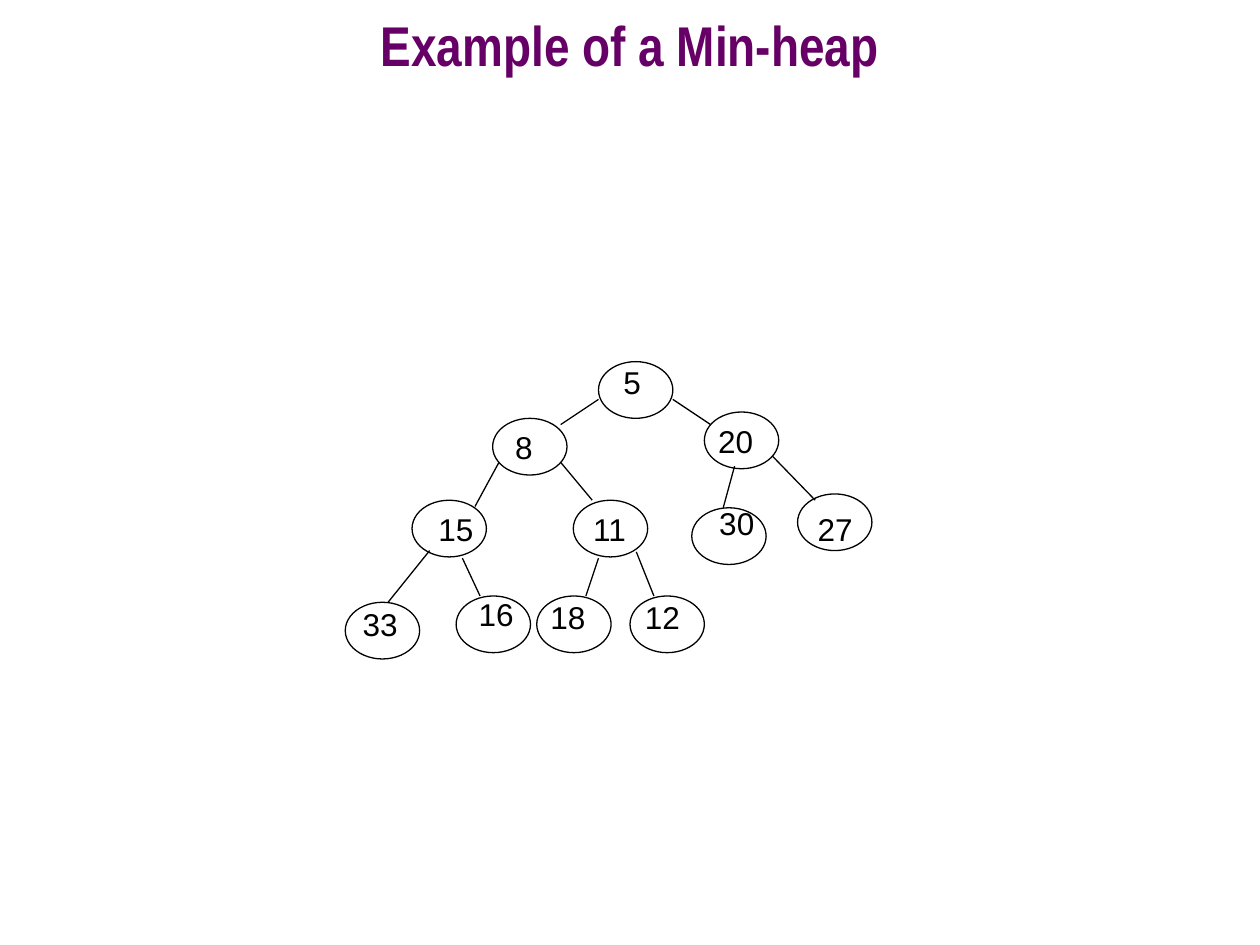
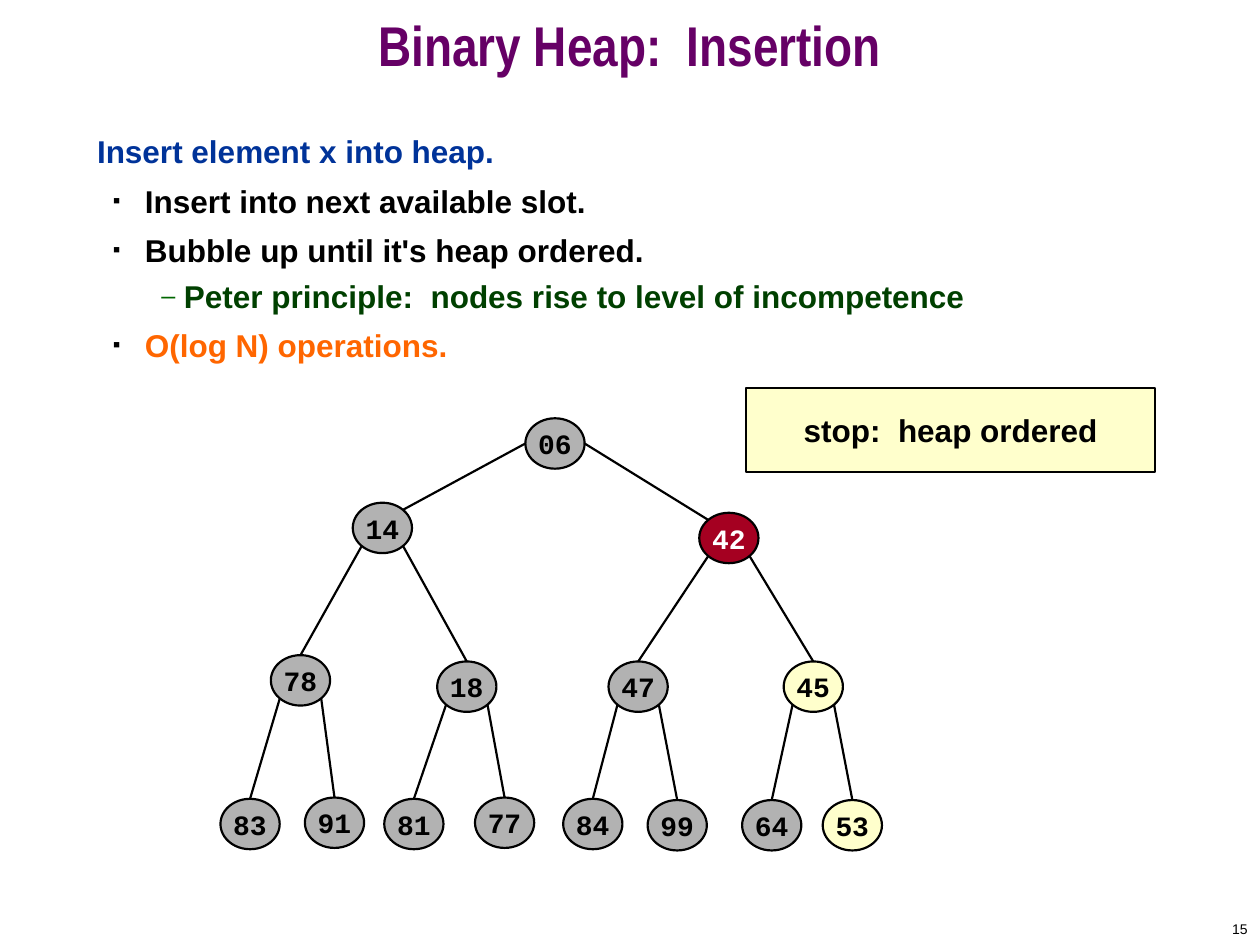
import pptx
import pptx.dml.color
import pptx.enum.shapes
import pptx.enum.text
import pptx.oxml
import pptx.oxml.ns
import pptx.util

COLS, ROWS = 100, 75
CELL = pptx.util.Inches(0.1)
BLACK, WHITE, PURPLE, BLUE = "000000", "FFFFFF", "660066", "003399"
GREEN, DARK_GREEN, ORANGE = "006600", "004000", "FF6600"
GRAY, RED, CREAM = "B2B2B2", "A50021", "FFFFCC"
ALIGN = pptx.enum.text.PP_ALIGN
ANCHOR = pptx.enum.text.MSO_ANCHOR
SHAPE = pptx.enum.shapes.MSO_SHAPE

MIN_HEAP = [
    ("5", (20.1, 0), (1, -0.4)),
    ("8", (11.7, 4.5), (0.8, 0.3)),
    ("20", (28.5, 4), (0.1, 0.3)),
    ("15", (5.3, 11), (1.1, 0.3)),
    ("11", (18.1, 11), (0.6, 0.3)),
    ("30", (27.5, 11.6), (1.2, -0.8)),
    ("27", (35.9, 10.5), (0.6, 0.8)),
    ("33", (0, 19.1), (0.4, -0.3)),
    ("16", (8.8, 18.6), (0.8, -0.6)),
    ("18", (15.2, 18.6), (0.1, -0.3)),
    ("12", (22.6, 18.6), (0.2, -0.3)),
]
MIN_HEAP_LINKS = [
    ((0, 3), (5.4, 0.5)), ((5.9, 3), (0.5, 1)),
    ((0.5, 3.5), (5, 0.5)), ((5.4, 3.5), (1.5, 0)),
    ((2.4, 4.3), (2.5, 0)), ((5.4, 3.5), (1.4, 0.5)),
    ((1.4, 4), (3.4, 0)), ((4, 4.6), (1.9, 0)),
    ((2, 4.6), (3.9, 0)), ((5, 4.1), (1.9, 0)),
]
INSERT_HEAP = [
    ("06", (24.2, 0)), ("14", (10.5, 6.7)), ("42", (38, 7.5)),
    ("78", (4, 18.8)), ("18", (17.2, 19.3)), ("47", (30.8, 19.3)), ("45", (44.7, 19.3)),
    ("83", (0, 30.2)), ("91", (6.7, 30.1)), ("81", (13, 30.2)), ("77", (20.2, 30.1)),
    ("84", (27.2, 30.2)), ("99", (33.9, 30.3)), ("64", (41.4, 30.3)), ("53", (47.8, 30.3)),
]
NODE_FILLS = {"42": RED, "45": CREAM, "53": CREAM}
STEPS = [
    (0, "Insert element x into heap.", BLUE),
    (1, "Insert into next available slot.", BLACK),
    (1, "Bubble up until it's heap ordered.", BLACK),
    (2, "Peter principle:  nodes rise to level of incompetence", DARK_GREEN),
    (1, "O(log N) operations.", ORANGE),
]
BULLETS = {1: ("■", BLACK, 35, 0.38, -0.25), 2: ("–", GREEN, 80, 0.69, -0.18)}


def rgb(color):
    """Turn a hex string into a colour."""
    return pptx.dml.color.RGBColor.from_string(color)


def cells(*values):
    """Turn grid cells into slide lengths."""
    return [round(v * CELL) for v in values]


def shift(a, b):
    """Add two grid points."""
    return a[0] + b[0], a[1] + b[1]


def style(p, size, color=BLACK, bold=False, font="Arial", align=None):
    """Format every run of a paragraph."""
    p.alignment = align
    for r in p.runs:
        r.font.size, r.font.bold, r.font.name = pptx.util.Pt(size), bold, font
        r.font.color.rgb = rgb(color)


def place(sp, box):
    """Move a placeholder to a grid box and fix its text size."""
    sp.left, sp.top, sp.width, sp.height = cells(*box)
    sp.text_frame.auto_size = pptx.enum.text.MSO_AUTO_SIZE.NONE


def add_title(s, text):
    """Fill the title band across the top of the slide."""
    sp = s.shapes.title
    place(sp, (0, 0, COLS, 8.3))
    tf = sp.text_frame
    tf.text, tf.vertical_anchor = text, ANCHOR.MIDDLE
    tf.paragraphs[0].line_spacing = 0.7
    style(tf.paragraphs[0], 32, PURPLE, True, "Arial Narrow", ALIGN.CENTER)


def add_label(s, box, text, size=18, align=ALIGN.LEFT, wrap=False):
    """Write a plain text label in a grid box."""
    tf = s.shapes.add_textbox(*cells(*box)).text_frame
    tf.text, tf.word_wrap = text, wrap
    style(tf.paragraphs[0], size, align=align)
    return tf


def add_figure(s, kind, box, width, fill=None):
    """Draw an outlined preset shape in a grid box."""
    sp = s.shapes.add_shape(kind, *cells(*box))
    sp.shadow.inherit = False
    sp.line.color.rgb, sp.line.width = rgb(BLACK), pptx.util.Pt(width)
    if fill:
        sp.fill.solid()
        sp.fill.fore_color.rgb = rgb(fill)
    else:
        sp.fill.background()
    return sp


def add_caption(sp, text, *look):
    """Centre text inside a shape."""
    tf = sp.text_frame
    tf.text, tf.word_wrap, tf.vertical_anchor = text, False, ANCHOR.MIDDLE
    style(tf.paragraphs[0], *look, align=ALIGN.CENTER)


def add_links(s, corners, links, width):
    """Join every heap node to its parent, given offsets from their corners."""
    for i, (start, end) in enumerate(links, 1):
        ends = shift(corners[(i - 1) // 2], start) + shift(corners[i], end)
        c = s.shapes.add_connector(pptx.enum.shapes.MSO_CONNECTOR.STRAIGHT, *cells(*ends))
        c.line.color.rgb, c.line.width = rgb(BLACK), pptx.util.Pt(width)
        c._element.spPr.append(pptx.oxml.parse_xml(f"<a:effectLst {pptx.oxml.ns.nsdecls('a')}/>"))


def draw_min_heap(s, origin):
    """Draw the outlined heap with its loose labels."""
    corners = [shift(origin, at) for _, at, _ in MIN_HEAP]
    for corner, (text, _, offset) in zip(corners, MIN_HEAP):
        add_figure(s, SHAPE.OVAL, (*corner, 5.9, 4.5), 0.75)
        add_label(s, (*shift(corner, offset), 2 + 1.4 * len(text), 4), text)
    add_links(s, corners, MIN_HEAP_LINKS, 0.75)


def draw_insert_heap(s, origin, w=4.7, h=4):
    """Draw the filled heap, with links leaving each node at its sides."""
    corners = [shift(origin, at) for _, at in INSERT_HEAP]
    near, far, low = 0.15 * w, 0.85 * w, 0.86 * h
    links = [((0, h / 2), (far, 0.14 * h)), ((w, h / 2), (near, 0.14 * h))]
    links += [((far if i % 2 else near, low), (w / 2, 0)) for i in range(len(corners) - 3)]
    add_links(s, corners, links, 1.25)
    for corner, (text, _) in zip(corners, INSERT_HEAP):
        fill = NODE_FILLS.get(text, GRAY)
        sp = add_figure(s, SHAPE.OVAL, (*corner, w, h), 1.25, fill)
        add_caption(sp, text, 16, WHITE if fill == RED else BLACK, True, "Courier New")


def set_bullet(p, level):
    """Give a paragraph the bullet and indent of its level."""
    pPr = p._p.get_or_add_pPr()
    char, color, size, margin, indent = BULLETS.get(level, (None, None, None, 0, 0))
    pPr.set("marL", str(pptx.util.Inches(margin)))
    pPr.set("indent", str(pptx.util.Inches(indent)))
    parts = ["<a:buNone {}/>"]
    if char:
        parts = [f'<a:buClr {{}}><a:srgbClr val="{color}"/></a:buClr>',
                 f'<a:buSzPct {{}} val="{size * 1000}"/>',
                 '<a:buFont {} typeface="Arial"/>',
                 f'<a:buChar {{}} char="{char}"/>']
    for part in parts:
        pPr.append(pptx.oxml.parse_xml(part.format(pptx.oxml.ns.nsdecls("a"))))


def fill_steps(sp, box):
    """Fill the body placeholder with the insertion steps."""
    place(sp, box)
    tf = sp.text_frame
    tf.text = "\n".join(text for _, text, _ in STEPS)
    tf.vertical_anchor = ANCHOR.TOP
    for p, (level, _, color) in zip(tf.paragraphs, STEPS):
        p.level, p.space_before = level, pptx.util.Pt(4.5)
        p.line_spacing = 1.1 if level == 1 else 1.0
        style(p, 18, color, True)
        set_bullet(p, level)


def min_heap_slide(prs):
    """Build the slide with the example heap."""
    s = prs.slides.add_slide(prs.slide_layouts[5])
    add_title(s, "Example of a Min-heap")
    draw_min_heap(s, (27.4, 28.7))


def insertion_slide(prs):
    """Build the slide with the insertion steps and their heap."""
    s = prs.slides.add_slide(prs.slide_layouts[1])
    add_title(s, "Binary Heap:  Insertion")
    fill_steps(s.placeholders[1], (6.7, 10, 85.8, 59.2))
    draw_insert_heap(s, (17.5, 33.2))
    note = add_figure(s, SHAPE.RECTANGLE, (59.2, 30.8, 32.5, 6.7), 1.25, CREAM)
    add_caption(note, "stop:  heap ordered", 18, BLACK, True)
    number = (COLS - 20.8, ROWS - 2.5, 20.8, 2.5)
    add_label(s, number, "15", 8, ALIGN.RIGHT, True).vertical_anchor = ANCHOR.MIDDLE


def main():
    """Build and save the deck."""
    prs = pptx.Presentation()
    prs.slide_width, prs.slide_height = cells(COLS, ROWS)
    min_heap_slide(prs)
    insertion_slide(prs)
    prs.save("out.pptx")


if __name__ == "__main__":
    main()
